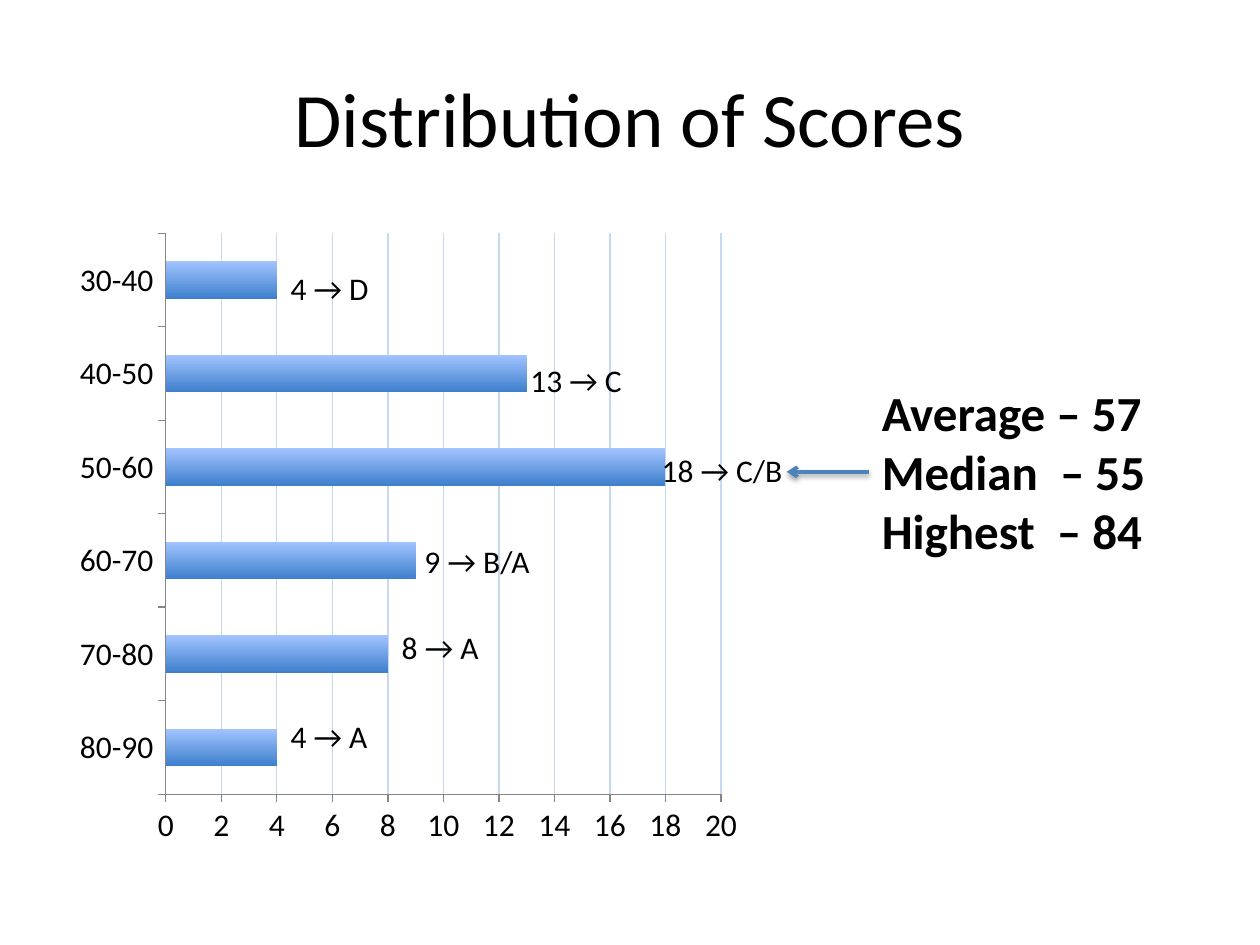
from lxml import etree
from pptx import Presentation
from pptx.chart.data import CategoryChartData
from pptx.dml.color import RGBColor
from pptx.enum import chart as ce, shapes, text
from pptx.oxml import parse_xml
from pptx.oxml.ns import nsdecls, qn
from pptx.util import Pt

FONT = "Calibri"
BLACK = RGBColor(0, 0, 0)
BLUE = RGBColor(0x4F, 0x81, 0xBD)
LIGHT = RGBColor(0xA3, 0xC4, 0xFF)
DEEP = RGBColor(0x3E, 0x7F, 0xCD)
GRID = RGBColor(0xC6, 0xD9, 0xF1)
GREY = RGBColor(0x86, 0x86, 0x86)

TITLE = "Distribution of Scores"
STATS = ["Average – 57", "Median  – 55", "Highest  – 84"]
# score range, count, grade, then left, top and width of the label
BANDS = [
    ("80-90", 4, "A", 159, 406, 60.5),
    ("70-80", 8, "A", 222.5, 355.5, 60.5),
    ("60-70", 9, "B/A", 235.5, 306, 77),
    ("50-60", 18, "C/B", 371, 254, 86.5),
    ("40-50", 13, "C", 296, 202.5, 69),
    ("30-40", 4, "D", 159, 150, 61),
]
PLOT = {"x": 0.15, "y": 0.02, "w": 0.81, "h": 0.88}


def style(font, size, bold=None):
    font.name, font.size, font.bold = FONT, Pt(size), bold
    font.color.rgb = BLACK


def add_text(parent, lines, box, size, bold=None):
    shape = parent.add_textbox(*map(Pt, box))
    frame = shape.text_frame
    frame.word_wrap = False
    frame.auto_size = text.MSO_AUTO_SIZE.SHAPE_TO_FIT_TEXT
    frame.text = "\n".join(lines)
    for para in frame.paragraphs:
        style(para.font, size, bold)
    return shape


def add_bars(slide):
    data = CategoryChartData()
    data.categories = [band[0] for band in BANDS]
    data.add_series("Series 1", [band[1] for band in BANDS])
    box = map(Pt, (36, 126, 391.68, 364.32))
    chart = slide.shapes.add_chart(
        ce.XL_CHART_TYPE.BAR_STACKED, *box, data).chart
    chart.has_legend = chart.has_title = False
    style(chart.font, 18)

    plot = chart.plots[0]
    plot.gap_width, plot.overlap = 150, 100
    plot.vary_by_categories = False
    fill = plot.series[0].format.fill
    fill.gradient()
    fill.gradient_angle = 270
    for stop, color in zip(fill.gradient_stops, (LIGHT, DEEP)):
        stop.color.rgb = color
    for stop, place in zip(fill.gradient_stops, (0, 1)):
        stop.position = place

    for axis in (chart.category_axis, chart.value_axis):
        axis.major_tick_mark = ce.XL_TICK_MARK.OUTSIDE
        axis.minor_tick_mark = ce.XL_TICK_MARK.NONE
        axis.format.line.color.rgb = GREY
    value = chart.value_axis
    value.minimum_scale, value.maximum_scale, value.major_unit = 0, 20, 2
    value.has_major_gridlines = True
    line = value.major_gridlines.format.line
    line.color.rgb, line.width = GRID, Pt(0.75)
    set_plot(chart)


def set_plot(chart):
    """Fix the inner plot area as shares of the chart frame."""
    area = chart._chartSpace.chart.plotArea
    for old in area.findall(qn("c:layout")):
        area.remove(old)
    modes = '<c:layoutTarget val="inner"/>' + "".join(
        f'<c:{key}Mode val="edge"/>' for key in "xy")
    sizes = "".join(f'<c:{key} val="{val}"/>' for key, val in PLOT.items())
    area.insert(0, parse_xml(
        f'<c:layout {nsdecls("c")}><c:manualLayout>{modes}{sizes}'
        '</c:manualLayout></c:layout>'))


def add_arrow(slide, stats):
    mid = Pt(269.5)
    arrow = slide.shapes.add_connector(
        shapes.MSO_CONNECTOR.STRAIGHT, stats.left, mid, Pt(449.5), mid)
    arrow.begin_connect(stats, 1)
    arrow.end_y = arrow.begin_y
    arrow.line.color.rgb, arrow.line.width = BLUE, Pt(2)
    etree.SubElement(arrow.line._get_or_add_ln(), qn("a:tailEnd"), type="arrow")
    arrow._element.spPr.append(parse_xml(
        f'<a:effectLst {nsdecls("a")}>'
        f'<a:outerShdw blurRad="{Pt(3.1)}" dist="{Pt(1.6)}" dir="5400000" '
        'rotWithShape="0"><a:srgbClr val="000000"><a:alpha val="38000"/>'
        '</a:srgbClr></a:outerShdw></a:effectLst>'))


def main():
    prs = Presentation()
    prs.slide_width, prs.slide_height = Pt(720), Pt(540)
    slide = prs.slides.add_slide(prs.slide_layouts[5])

    title = slide.shapes.title
    title.left, title.top, title.width, title.height = map(
        Pt, (36, 21.6, 648, 90))
    title.text_frame.text = TITLE
    title.text_frame.vertical_anchor = text.MSO_ANCHOR.MIDDLE
    para = title.text_frame.paragraphs[0]
    para.alignment = text.PP_ALIGN.CENTER
    style(para.font, 44)

    add_bars(slide)
    stats = add_text(slide.shapes, STATS, (496.8, 215.3, 166.3, 108.7), 28, True)
    add_arrow(slide, stats)
    group = slide.shapes.add_group_shape()
    for _, count, grade, left, top, width in BANDS:
        add_text(group.shapes, [f"{count} → {grade}"], (left, top, width, 29), 18)
    prs.save("out.pptx")


if __name__ == "__main__":
    main()
